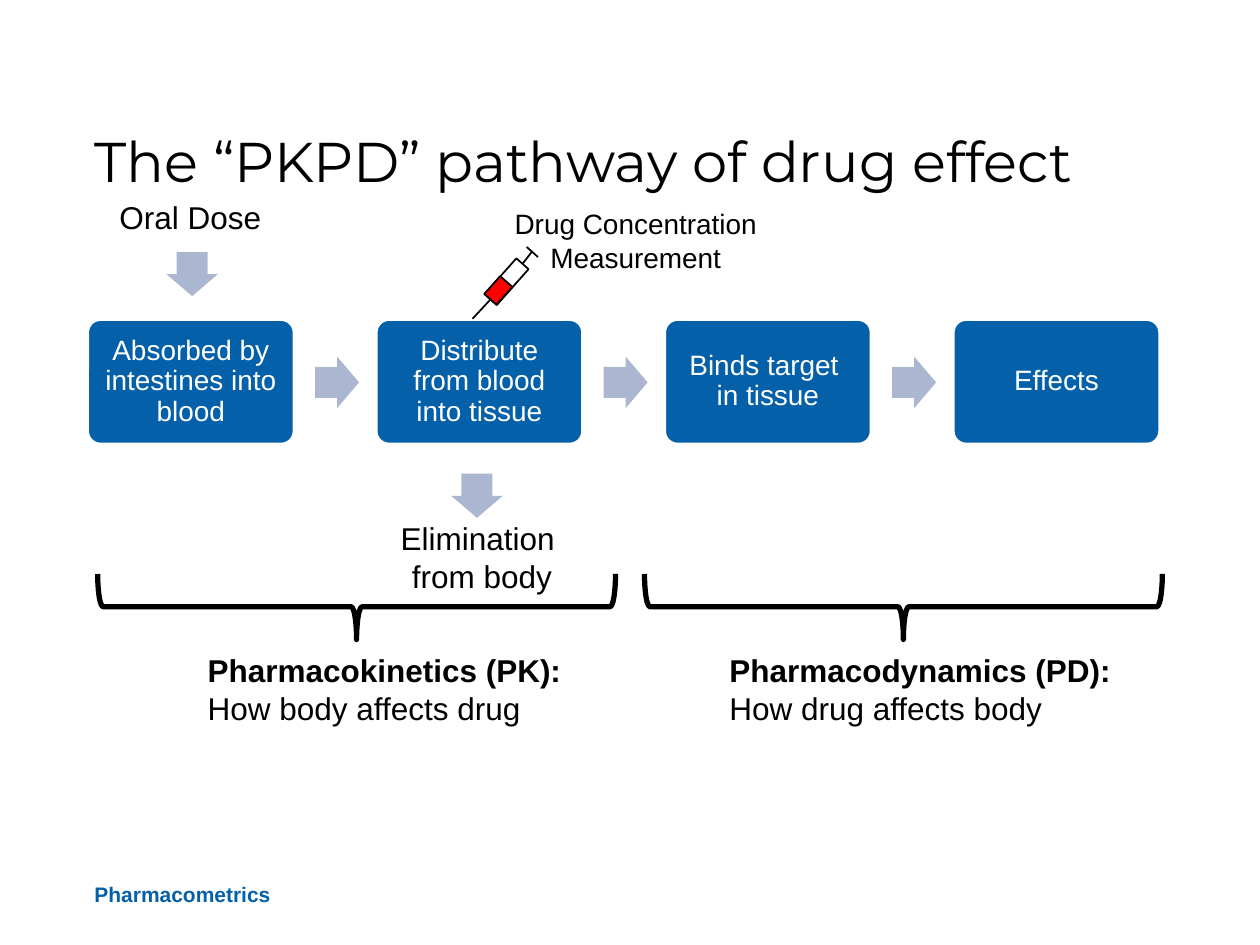
from lxml.etree import SubElement
from pptx import Presentation
from pptx.dml.color import RGBColor
from pptx.enum.shapes import MSO_CONNECTOR, MSO_SHAPE
from pptx.enum.text import MSO_ANCHOR, PP_ALIGN
from pptx.oxml.ns import qn
from pptx.util import Inches, Pt

BLUE, PALE, BLACK, WHITE, RED = "0460A9", "ABB7D1", "000000", "FFFFFF", "FF0000"


def color(value):
    return RGBColor.from_string(value)


def apply(target, values):
    for key, value in values.items():
        setattr(target, key, value)


class SlideBuilder:
    font = "Arial"
    insets = ("margin_left", "margin_top", "margin_right", "margin_bottom")

    def __init__(self, slide):
        self.slide = slide

    def fill_text(self, frame, text, size, ink, align=PP_ALIGN.LEFT, spacing=None,
                  font=None, bold_lines=0):
        frame.text = text
        for index, paragraph in enumerate(frame.paragraphs):
            apply(paragraph, {"alignment": align, "line_spacing": spacing})
            for run in paragraph.runs:
                apply(run.font, {"name": font or self.font, "size": Pt(size),
                                 "bold": index < bold_lines})
                run.font.color.rgb = color(ink)

    def text(self, box, text, size=18, ink=BLACK, inset=None, wrap=False,
             anchor=MSO_ANCHOR.TOP, **style):
        frame = self.slide.shapes.add_textbox(*map(Inches, box)).text_frame
        apply(frame, {"word_wrap": wrap, "vertical_anchor": anchor})
        if inset is not None:
            apply(frame, dict.fromkeys(self.insets, Inches(inset)))
        self.fill_text(frame, text, size, ink, **style)

    def shape(self, kind, box, fill=None, line=None, weight=1, rotation=0, adjust=()):
        shape = self.slide.shapes.add_shape(kind, *map(Inches, box))
        shape.shadow.inherit = False
        shape.rotation = rotation
        for index, value in enumerate(adjust):
            shape.adjustments[index] = value
        if fill:
            shape.fill.solid()
            shape.fill.fore_color.rgb = color(fill)
        else:
            shape.fill.background()
        if line:
            shape.line.color.rgb = color(line)
            shape.line.width = Pt(weight)
        else:
            shape.line.fill.background()
        return shape

    def step(self, box, text):
        card = self.shape(MSO_SHAPE.ROUNDED_RECTANGLE, box, BLUE, WHITE, adjust=(0.1,))
        frame = card.text_frame
        apply(frame, {"word_wrap": True, "vertical_anchor": MSO_ANCHOR.MIDDLE})
        apply(frame, dict.fromkeys(self.insets, Inches(0.07)))
        self.fill_text(frame, text, 16, WHITE, PP_ALIGN.CENTER, 0.9)

    def arrow(self, left, top, rotation=0):
        self.shape(MSO_SHAPE.RIGHT_ARROW, (left, top, 0.35, 0.41), PALE,
                   rotation=rotation, adjust=(0.6, 0.5))

    def brace(self, left):
        self.shape(MSO_SHAPE.LEFT_BRACE, (left, 2.76, 0.52, 4.11),
                   line=BLACK, weight=3, rotation=270)

    def line(self, start, end):
        connector = self.slide.shapes.add_connector(
            MSO_CONNECTOR.STRAIGHT, *map(Inches, start + end))
        connector.line.color.rgb = color(BLACK)
        connector.line.width = Pt(1)
        SubElement(connector._element.spPr, qn("a:effectLst"))


def main():
    deck = Presentation()
    apply(deck, {"slide_width": Inches(10), "slide_height": Inches(7.5)})
    page = SlideBuilder(deck.slides.add_slide(deck.slide_layouts[6]))

    page.text((0.75, 6.95, 6.5, 0.25), "Pharmacometrics", 12, BLUE, inset=0,
              wrap=True, anchor=MSO_ANCHOR.BOTTOM, bold_lines=1)
    page.text((0.75, 0.5, 8.5, 1.05), "The “PKPD” pathway of drug effect", 32,
              inset=0, wrap=True, anchor=MSO_ANCHOR.BOTTOM, spacing=0.95,
              font="Montserrat")

    steps = ["Absorbed by intestines into blood", "Distribute from blood into tissue",
             "Binds target \vin tissue", "Effects"]
    pitch = 2.29
    for index, step in enumerate(steps):
        page.step((0.7 + index * pitch, 2.54, 1.63, 0.98), step)
        if index < len(steps) - 1:
            page.arrow(2.5 + index * pitch, 2.83)
    page.arrow(1.35, 1.97, 90)
    page.arrow(3.61, 3.73, 90)

    page.text((0.85, 1.52, 1.34, 0.4), "Oral Dose")
    page.text((3.07, 4.07, 1.51, 0.71), "Elimination \nfrom body",
              align=PP_ALIGN.CENTER)
    page.text((1.55, 5.12, 3.03, 0.71),
              "Pharmacokinetics (PK):\nHow body affects drug", bold_lines=1)
    page.text((5.69, 5.12, 3.26, 0.71),
              "Pharmacodynamics (PD):\nHow drug affects body", bold_lines=1)

    syringe_tilt = 131.6
    page.shape(MSO_SHAPE.RECTANGLE, (3.83, 2.17, 0.38, 0.13), line=BLACK,
               rotation=syringe_tilt)
    page.shape(MSO_SHAPE.RECTANGLE, (3.86, 2.24, 0.19, 0.13), RED, BLACK,
               rotation=syringe_tilt)
    needle = (3.89, 2.38), (3.75, 2.53)
    plunger = (4.22, 2), (4.15, 2.09)
    handle = (4.27, 2.04), (4.18, 1.96)
    for start, end in (needle, plunger, handle):
        page.line(start, end)
    page.text((3.97, 1.59, 2.15, 0.64), "Drug Concentration\nMeasurement", 16,
              align=PP_ALIGN.CENTER)

    for left in (2.57, 6.91):
        page.brace(left)
    deck.save("out.pptx")


if __name__ == "__main__":
    main()
